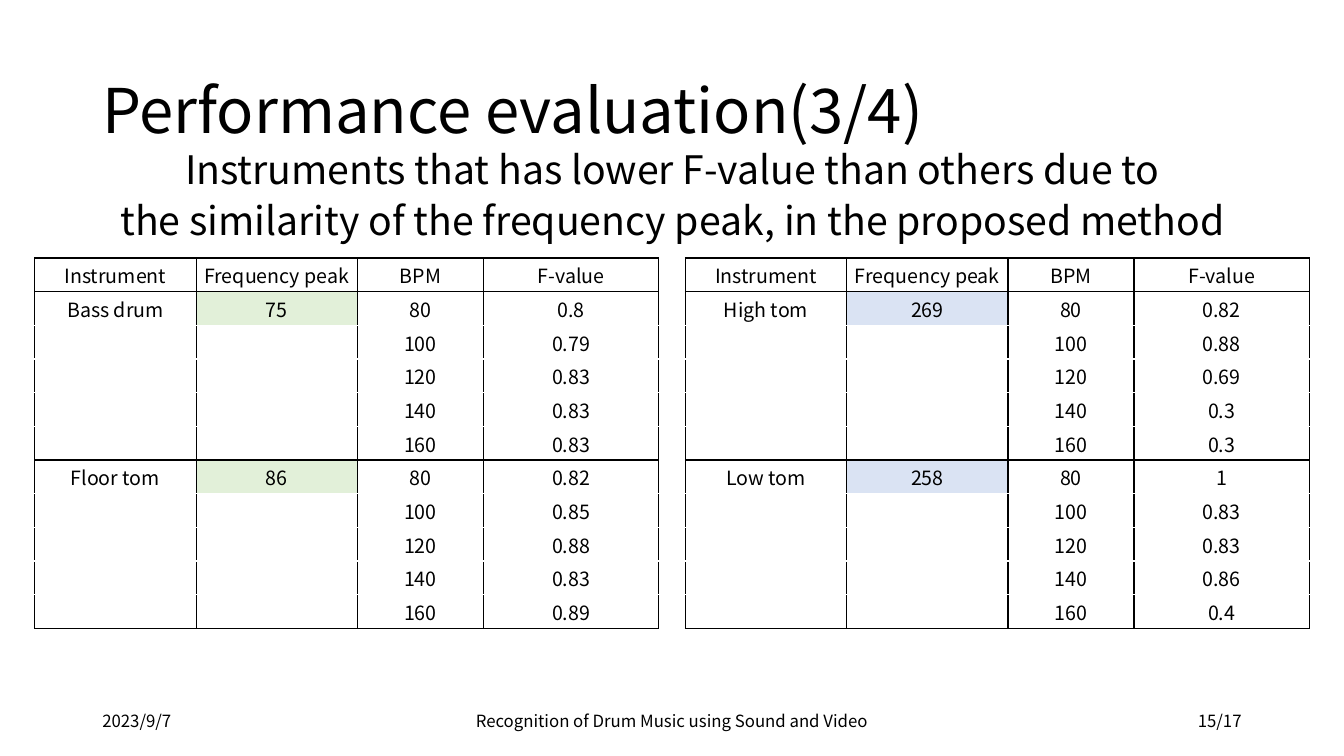
import pptx
import pptx.util
import pptx.dml.color
import pptx.enum.text
import pptx.oxml
import pptx.oxml.ns

Pt = pptx.util.Pt
ALIGN = pptx.enum.text.PP_ALIGN
ANCHOR = pptx.enum.text.MSO_ANCHOR
FONT = "Noto Sans CJK JP"
COLORS = {"ink": "000000", "paper": "FFFFFF", "green": "E2F0D9", "blue": "DAE3F3"}

TITLE = "Performance evaluation(3/4)"
CLAIM = [
    "Instruments that has lower F-value than others due to",
    "the similarity of the frequency peak, in the proposed method",
]
FOOTER = [
    ("2023/9/7", 66, 216, ALIGN.LEFT),
    ("Recognition of Drum Music using Sound and Video", 318, 324, ALIGN.CENTER),
    ("15/17", 678, 216, ALIGN.RIGHT),
]
HEAD = ["Instrument", "Frequency peak", "BPM", "F-value"]
TEMPOS = [80, 100, 120, 140, 160]
TABLES = [
    (24.9, "paper", "green", [
        ("Bass drum", "75", ["0.8", "0.79", "0.83", "0.83", "0.83"]),
        ("Floor tom", "86", ["0.82", "0.85", "0.88", "0.83", "0.89"]),
    ]),
    (489.6, "blue", "blue", [
        ("High tom", "269", ["0.82", "0.88", "0.69", "0.3", "0.3"]),
        ("Low tom", "258", ["1", "0.83", "0.83", "0.86", "0.4"]),
    ]),
]
WIDTHS = [115.2, 115.2, 90, 125.3]
TOP, ROW = 184.3, 24.05


def color(name):
    return pptx.dml.color.RGBColor.from_string(COLORS[name])


def write(para, text, size, align):
    para.alignment = align
    run = para.add_run()
    run.text = text
    run.font.name = FONT
    run.font.size = Pt(size)
    run.font.color.rgb = color("ink")


def add_text(slide, box, lines, size, align, anchor, pitch=1.0, gap=0):
    frame = slide.shapes.add_textbox(*map(Pt, box)).text_frame
    frame.word_wrap = True
    frame.vertical_anchor = anchor
    for i, line in enumerate(lines):
        para = frame.add_paragraph() if i else frame.paragraphs[0]
        para.line_spacing = pitch
        if i:
            para.space_before = Pt(gap)
        write(para, line, size, align)


def add_edges(cell, sides):
    props = cell._tc.get_or_add_tcPr()
    space = pptx.oxml.ns.nsdecls("a")
    for i, side in enumerate(sides):
        props.insert(i, pptx.oxml.parse_xml(
            f'<a:ln{side} {space} w="12700"><a:solidFill>'
            f'<a:srgbClr val="{COLORS["ink"]}"/></a:solidFill></a:ln{side}>'))


def fill_cell(cell, text, shade, sides):
    cell.fill.solid()
    cell.fill.fore_color.rgb = color(shade)
    cell.vertical_anchor = ANCHOR.MIDDLE
    cell.margin_left = cell.margin_right = cell.margin_top = Pt(0.72)
    cell.margin_bottom = 0
    para = cell.text_frame.paragraphs[0]
    if text:
        write(para, text, 14, ALIGN.CENTER)
    else:
        para._p.get_or_add_endParaRPr().set("sz", "1400")
    add_edges(cell, sides)


def list_rows(drums):
    rows = [HEAD]
    for name, peak, scores in drums:
        for i, (tempo, score) in enumerate(zip(TEMPOS, scores)):
            rows.append(["" if i else name, "" if i else peak, str(tempo), score])
    return rows


def add_grid(slide, left, rows, widths, peak, shade):
    grid = slide.shapes.add_table(
        len(rows), len(widths), Pt(left), Pt(TOP), Pt(sum(widths)), Pt(ROW * len(rows))).table
    grid.horz_banding = grid.first_row = False
    for col, width in zip(grid.columns, widths):
        col.width = Pt(width)
    for r, row in enumerate(rows):
        grid.rows[r].height = Pt(ROW)
        step = r % len(TEMPOS)
        sides = "LRTB" if r == 0 or step == 1 else "LRB" if step == 0 else "LR"
        for c, text in enumerate(row):
            tint = shade if step == 1 and c == peak else "paper"
            fill_cell(grid.cell(r, c), text, tint, sides)


def main():
    deck = pptx.Presentation()
    deck.slide_width, deck.slide_height = Pt(960), Pt(540)
    slide = deck.slides.add_slide(deck.slide_layouts[6])
    add_text(slide, (66, 28.8, 828, 104.4), [TITLE], 44, ALIGN.LEFT, ANCHOR.MIDDLE, 0.9)
    add_text(slide, (47.5, 106.6, 865.4, 74.9), CLAIM, 28, ALIGN.CENTER, ANCHOR.TOP, 0.8, 10)
    for left, base, shade, drums in TABLES:
        add_grid(slide, left, list_rows(drums), WIDTHS, 1, base)
    for text, left, width, align in FOOTER:
        add_text(slide, (left, 500.5, width, 28.8), [text], 12, align, ANCHOR.MIDDLE)
    for left, base, shade, drums in TABLES:
        peaks = [row[1:2] for row in list_rows(drums)]
        add_grid(slide, left + WIDTHS[0], peaks, WIDTHS[1:2], 0, shade)
    deck.save("out.pptx")


if __name__ == "__main__":
    main()
